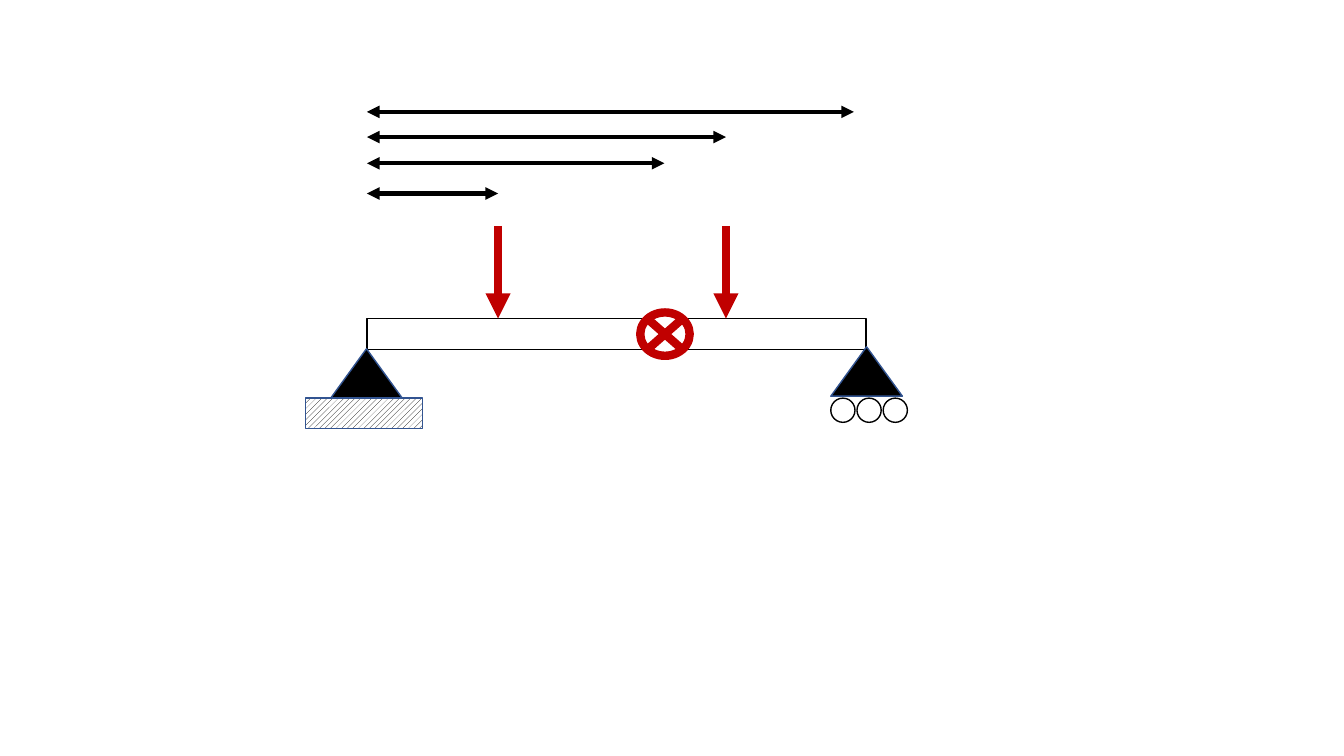
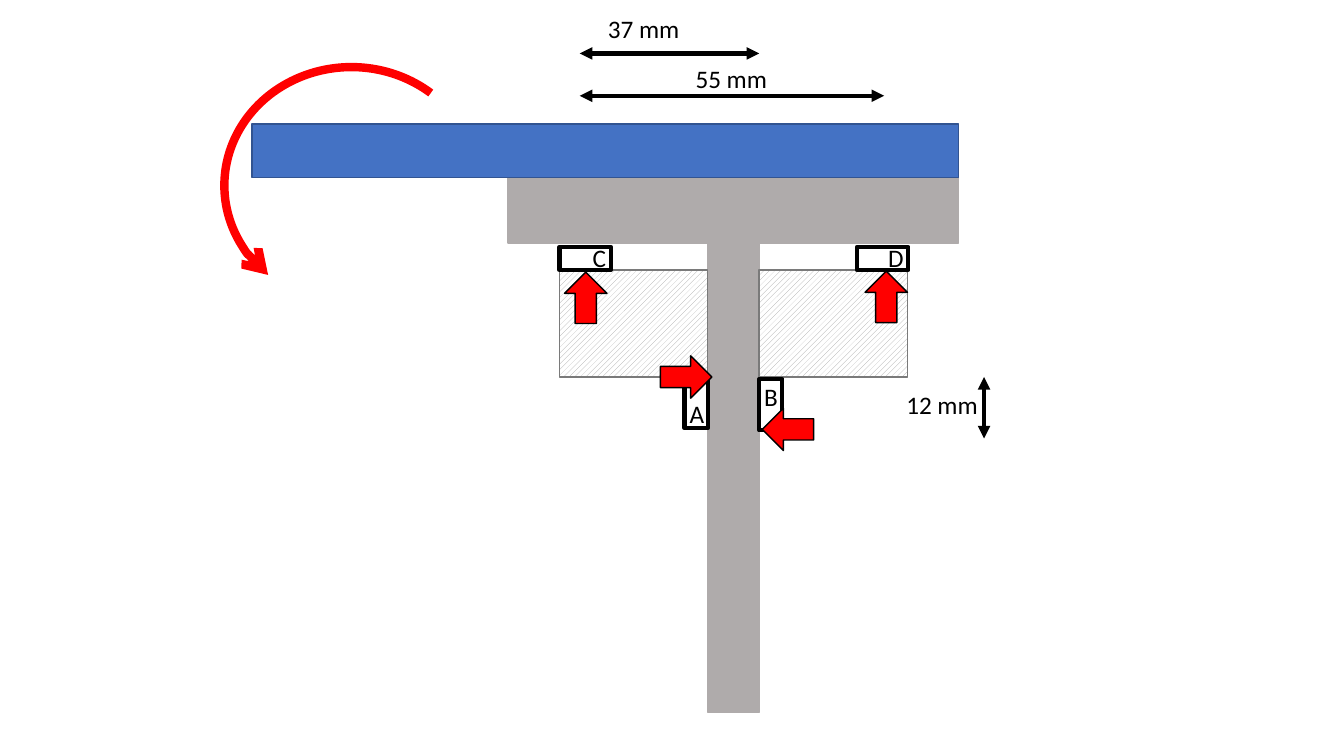
from lxml import etree
from pptx import Presentation
from pptx.dml.color import RGBColor
from pptx.enum.dml import MSO_PATTERN
from pptx.enum.shapes import MSO_CONNECTOR, MSO_SHAPE
from pptx.enum.text import MSO_AUTO_SIZE
from pptx.oxml.ns import qn
from pptx.util import Inches, Pt

BLACK = RGBColor(0x00, 0x00, 0x00)
WHITE = RGBColor(0xFF, 0xFF, 0xFF)
CRIMSON = RGBColor(0xC0, 0x00, 0x00)
RED = RGBColor(0xFF, 0x00, 0x00)
BLUE = RGBColor(0x44, 0x72, 0xC4)
NAVY = RGBColor(0x32, 0x54, 0x91)
GREY = RGBColor(0xAF, 0xAB, 0xAB)
HATCH_GREY = RGBColor(0xA5, 0xA5, 0xA5)
EDGE_GREY = RGBColor(0x7A, 0x7A, 0x7A)

RECTANGLE = MSO_SHAPE.RECTANGLE
TRIANGLE = MSO_SHAPE.ISOSCELES_TRIANGLE
OVAL = MSO_SHAPE.OVAL
JUNCTION = MSO_SHAPE.FLOWCHART_SUMMING_JUNCTION
ARC = MSO_SHAPE.ARC
UP_ARROW = MSO_SHAPE.UP_ARROW
LEFT_ARROW = MSO_SHAPE.LEFT_ARROW
RIGHT_ARROW = MSO_SHAPE.RIGHT_ARROW
STRAIGHT = MSO_CONNECTOR.STRAIGHT
DIAGONAL_HATCH = MSO_PATTERN.WIDE_UPWARD_DIAGONAL
FIT_SHAPE = MSO_AUTO_SIZE.SHAPE_TO_FIT_TEXT
NO_WIDTH_LIMIT = {"word_wrap": False, "auto_size": FIT_SHAPE}
LABEL_FONT = {"name": "Calibri", "size": Pt(18)}


class Diagram:
    def __init__(self, presentation):
        self.presentation = presentation
        self.slide = None

    def new_slide(self):
        blank_layout = self.presentation.slide_layouts[6]
        self.slide = self.presentation.slides.add_slide(blank_layout)

    def outline(self, item, color, width, ends=None):
        item.line.color.rgb = color
        item.line.width = Pt(width)
        line_xml = item.line._get_or_add_ln()
        for end, kind in (ends or {}).items():
            etree.SubElement(line_xml, qn(f"a:{end}")).set("type", kind)

    def shape(self, kind, box, fill=None, edge=BLACK, width=1, ends=None):
        shape = self.slide.shapes.add_shape(kind, *map(Inches, box))
        shape.shadow.inherit = False
        if fill is None:
            shape.fill.background()
        else:
            shape.fill.solid()
            shape.fill.fore_color.rgb = fill
        self.outline(shape, edge, width, ends)
        return shape

    def hatched(self, box, color, edge):
        fill = self.shape(RECTANGLE, box, WHITE, edge).fill
        fill.patterned()
        fill.pattern = DIAGONAL_HATCH
        fill.fore_color.rgb = color
        fill.back_color.rgb = WHITE

    def arrow(self, start, end, color=BLACK, width=3, double=True):
        line = self.slide.shapes.add_connector(STRAIGHT, *map(Inches, (*start, *end)))
        ends = {"headEnd": "triangle"} if double else {}
        self.outline(line, color, width, {**ends, "tailEnd": "triangle"})
        etree.SubElement(line._element.spPr, qn("a:effectLst"))

    def label(self, text, left, top, width=0.35):
        box = self.slide.shapes.add_textbox(*map(Inches, (left, top, width, 0.4)))
        for name, value in NO_WIDTH_LIMIT.items():
            setattr(box.text_frame, name, value)
        run = box.text_frame.paragraphs[0].add_run()
        run.text = text
        for name, value in LABEL_FONT.items():
            setattr(run.font, name, value)
        run.font.color.rgb = BLACK


def draw_beam(diagram):
    diagram.new_slide()
    beam_left, beam_top = 3.64, 3.16
    first_load, moment, second_load = 4.94, 6.59, 7.2

    diagram.shape(RECTANGLE, (beam_left, beam_top, 4.95, 0.31), WHITE)
    for left, top in ((3.28, 3.46), (8.24, 3.44)):
        diagram.shape(TRIANGLE, (left, top, 0.71, 0.49), BLACK, NAVY)
    diagram.hatched((3.03, 3.95, 1.16, 0.3), BLACK, NAVY)
    for roller in range(3):
        diagram.shape(OVAL, (8.24 + 0.26 * roller, 3.95, 0.24, 0.24), WHITE)
    for load in (first_load, second_load):
        diagram.arrow((load, 2.24), (load, beam_top), CRIMSON, 6, double=False)
    diagram.shape(JUNCTION, (6.35, 3.1, 0.49, 0.43), WHITE, CRIMSON, 6)
    dimensions = ((first_load, 1.92), (moment, 1.62), (second_load, 1.36), (8.47, 1.11))
    for right, height in dimensions:
        diagram.arrow((beam_left, height), (right, height))


def draw_bracket(diagram):
    diagram.new_slide()
    stem_left, stem_right, block_top = 7.02, 7.53, 2.68
    pad_long, pad_short = 0.51, 0.23

    for box in ((stem_left, 1.99, 0.51, 5.08), (5.04, 1.75, 4.47, 0.66)):
        diagram.shape(RECTANGLE, box, GREY, GREY)
    for left in (5.55, stem_right):
        diagram.hatched((left, block_top, 1.47, 1.06), HATCH_GREY, EDGE_GREY)
    diagram.shape(RECTANGLE, (2.5, 1.23, 7.01, 0.53), BLUE, NAVY)

    for left in (5.55, 8.5):
        pad = (left, block_top - pad_short, pad_long, pad_short)
        diagram.shape(RECTANGLE, pad, WHITE, width=3)
    for left, top in ((stem_left - pad_short, 3.74), (stem_right, 3.76)):
        diagram.shape(RECTANGLE, (left, top, pad_short, pad_long), WHITE, width=3)
    pad_labels = (("A", 6.74, 3.9), ("B", 7.48, 3.73), ("C", 5.78, 2.36), ("D", 8.71, 2.36))
    for text, left, top in pad_labels:
        diagram.label(text, left, top)

    rotation = diagram.shape(ARC, (2.31, 0.58, 2.35, 2.52), None, RED, 6, {"headEnd": "arrow"})
    rotation.rotation = 270
    rotation.adjustments[0] = 133.77
    rotation.adjustments[1] = 24.39

    dimensions = (
        ("12 mm", (8.89, 3.81), (9.76, 3.74), (9.76, 4.35)),
        ("55 mm", (6.8, 0.58), (8.77, 0.95), (5.75, 0.95)),
        ("37 mm", (5.93, 0.08), (7.53, 0.53), (5.75, 0.53)),
    )
    for text, position, start, end in dimensions:
        diagram.arrow(start, end)
        diagram.label(text, *position, width=0.92)

    forces = (
        (UP_ARROW, (5.6, 2.7, 0.42, 0.51)),
        (UP_ARROW, (8.58, 2.69, 0.42, 0.51)),
        (RIGHT_ARROW, (6.55, 3.53, 0.51, 0.42)),
        (LEFT_ARROW, (7.56, 4.05, 0.51, 0.42)),
    )
    for kind, box in forces:
        diagram.shape(kind, box, RED)


def main():
    presentation = Presentation()
    presentation.slide_width = Inches(13.33)
    presentation.slide_height = Inches(7.5)
    diagram = Diagram(presentation)
    draw_beam(diagram)
    draw_bracket(diagram)
    presentation.save("out.pptx")


if __name__ == "__main__":
    main()
